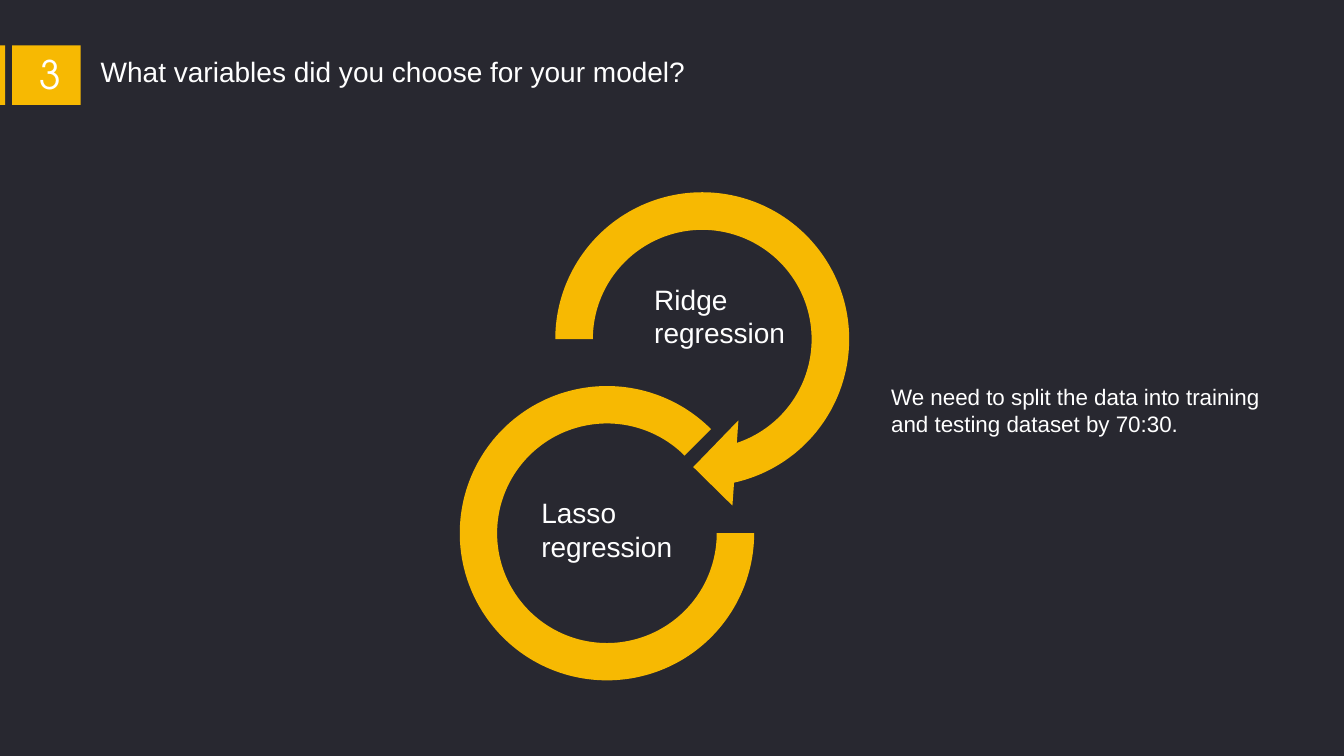
from dataclasses import dataclass

from pptx import Presentation
from pptx.dml.color import RGBColor
from pptx.enum.shapes import MSO_SHAPE as Kind
from pptx.enum.text import PP_ALIGN as Align
from pptx.slide import Slide
from pptx.util import Inches, Pt

DARK = RGBColor(0x28, 0x28, 0x30)
GOLD = RGBColor(0xF7, 0xB9, 0x02)
WHITE = RGBColor(0xFF, 0xFF, 0xFF)


@dataclass
class Box:
    left: float
    top: float
    width: float
    height: float

    def place(self) -> list[int]:
        return [Inches(n) for n in (self.left, self.top, self.width, self.height)]


@dataclass
class Solid:
    kind: Kind
    box: Box
    bends: tuple[float, ...] = ()


@dataclass
class Label:
    text: str
    box: Box
    size: int = 20
    font: str = "Arial"
    align: Align = Align.LEFT


SOLIDS = [
    Solid(Kind.CIRCULAR_ARROW, Box(5.27, 1.67, 3.39, 3.39), (0.11, 11.42, 45, 108, 0.125)),
    Solid(Kind.BLOCK_ARC, Box(4.56, 3.83, 2.92, 2.92), (0, 189, 0.127)),
    Solid(Kind.RECTANGLE, Box(0, 0.45, 0.05, 0.59)),
    Solid(Kind.RECTANGLE, Box(0.12, 0.45, 0.68, 0.59)),
]
LABELS = [
    Label("Ridge\nregression", Box(6.39, 2.75, 2.58, 0.77)),
    Label("Lasso regression", Box(5.27, 4.87, 1.82, 0.77)),
    Label("We need to split the data into training and testing dataset by 70:30.",
          Box(8.74, 3.75, 3.9, 1.11), size=16),
    Label("What variables did you choose for your model?", Box(0.9, 0.49, 6.69, 0.44)),
    Label("3", Box(0.29, 0.45, 0.3, 0.59), size=28, font="TeX Gyre Adventor",
          align=Align.CENTER),
]


def add_solid(slide: Slide, solid: Solid) -> None:
    shape = slide.shapes.add_shape(solid.kind, *solid.box.place())
    shape.shadow.inherit = False
    shape.fill.solid()
    shape.fill.fore_color.rgb = GOLD
    shape.line.fill.background()
    for i, bend in enumerate(solid.bends):
        shape.adjustments[i] = bend


def add_text(slide: Slide, text: str, box: Box, *, size: int, font: str,
             align: Align) -> None:
    frame = slide.shapes.add_textbox(*box.place()).text_frame
    frame.word_wrap = True
    frame.text = text
    for para in frame.paragraphs:
        para.alignment = align
        for run in para.runs:
            run.font.size = Pt(size)
            run.font.name = font
            run.font.color.rgb = WHITE


def main() -> None:
    deck = Presentation()
    deck.slide_width, deck.slide_height = Inches(13.33), Inches(7.5)
    slide = deck.slides.add_slide(deck.slide_layouts[6])
    slide.background.fill.solid()
    slide.background.fill.fore_color.rgb = DARK

    for solid in SOLIDS:
        add_solid(slide, solid)
    for item in LABELS:
        add_text(slide, item.text, item.box, size=item.size, font=item.font,
                 align=item.align)
    deck.save("out.pptx")


if __name__ == "__main__":
    main()
